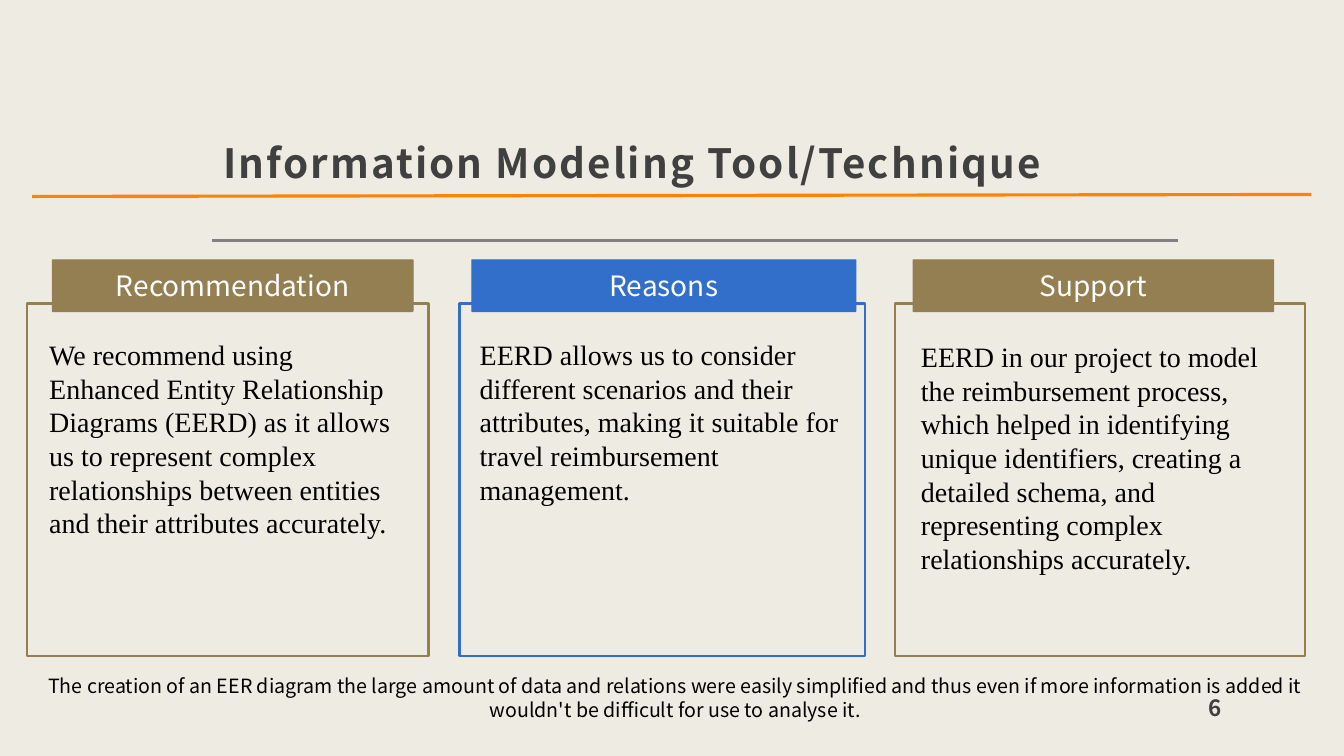
from lxml import etree
from pptx import Presentation
from pptx import util as u
from pptx.dml.color import RGBColor
from pptx.enum import shapes, text
from pptx.oxml.ns import qn

SANS, SERIF = "Noto Sans CJK JP", "Times New Roman"
INK, BLACK, WHITE = "404040", "000000", "FFFFFF"
TAN, BLUE, ORANGE, GREY = "947F53", "326FCA", "FF8200", "808080"
LEFT, CENTER = text.PP_ALIGN.LEFT, text.PP_ALIGN.CENTER
TOP, MIDDLE, BOTTOM = (text.MSO_ANCHOR.TOP, text.MSO_ANCHOR.MIDDLE,
                       text.MSO_ANCHOR.BOTTOM)
USUAL_INSETS = (0.25, 0.13, 0.25, 0.13)
THEME_INSETS = (0.3, 0.3, 0.3, 0.25)

CARDS = [
    dict(box=(0.69, 7.65, 10.11, 8.89), color=TAN, heading="Recommendation",
         tab=(0.63, 9.09), body=(0.3, 0.73, 9.6, 5.38),
         wording="We recommend using Enhanced Entity Relationship Diagrams (EERD) "
                 "as it allows us to represent complex relationships between "
                 "entities and their attributes accurately."),
    dict(box=(11.58, 7.65, 10.21, 8.89), color=BLUE, heading="Reasons",
         tab=(0.31, 9.68), body=(0.26, 0.73, 9.68, 4.52),
         wording="EERD allows us to consider different scenarios and their "
                 "attributes, making it suitable for travel reimbursement "
                 "management."),
    dict(box=(22.56, 7.65, 10.34, 8.89), color=TAN, heading="Support",
         tab=(0.45, 9.09), body=(0.4, 0.78, 9.55, 6.25),
         wording="EERD in our project to model the reimbursement process, which "
                 "helped in identifying unique identifiers, creating a detailed "
                 "schema, and representing complex relationships accurately."),
]
FOOTNOTE = ("The creation of an EER diagram the large amount of data and relations "
            "were easily simplified and thus even if more information is added it "
            "wouldn't be difficult for use to analyse it.")


def rgb(value):
    """Turn a hex string into a colour."""
    return RGBColor.from_string(value)


def lengths(values):
    """Turn centimetre numbers into lengths."""
    return [u.Cm(value) for value in values]


def write(shape, wording, size, font, color, bold=False, align=LEFT, anchor=TOP,
          insets=USUAL_INSETS):
    """Fill a shape with one formatted paragraph and return the paragraph."""
    frame = shape.text_frame
    frame.word_wrap = True
    frame.vertical_anchor = anchor
    (frame.margin_left, frame.margin_top,
     frame.margin_right, frame.margin_bottom) = lengths(insets)
    para = frame.paragraphs[0]
    para.text = wording
    para.alignment = align
    letters = para.runs[0].font
    letters.size, letters.name, letters.bold = u.Pt(size), font, bold
    letters.color.rgb = rgb(color)
    return para


def add_text(page, box, *details, **options):
    """Add a text box with one paragraph."""
    return write(page.shapes.add_textbox(*lengths(box)), *details, **options)


def add_panel(page, kind, box, color, width, filled):
    """Add an outlined shape, either solid or empty."""
    panel = page.shapes.add_shape(kind, *lengths(box))
    panel.shadow.inherit = False
    if filled:
        panel.fill.solid()
        panel.fill.fore_color.rgb = rgb(color)
    else:
        panel.fill.background()
    panel.line.color.rgb = rgb(color)
    panel.line.width = u.Pt(width)
    return panel


def flatten_fold(label):
    """Shrink the folded corner until it hardly shows."""
    geometry = label._element.spPr.find(qn("a:prstGeom"))
    guides = geometry.find(qn("a:avLst"))
    if guides is None:
        guides = etree.SubElement(geometry, qn("a:avLst"))
    etree.SubElement(guides, qn("a:gd"), name="adj", fmla="val 1000")


def add_rule(page, ends, color, width):
    """Add a straight line without a shadow."""
    rule = page.shapes.add_connector(shapes.MSO_CONNECTOR.STRAIGHT, *lengths(ends))
    rule.line.color.rgb = rgb(color)
    rule.line.width = u.Pt(width)
    etree.SubElement(rule._element.spPr, qn("a:effectLst"))


def add_header(page, box):
    """Place the title with its orange and grey rules."""
    left, top, width, height = box
    bottom = top + height
    add_rule(page, (left, bottom + 1.1, left + width, bottom + 1.1), GREY, 2)
    para = add_text(page, box, "Information Modeling Tool/Technique", 28.8, SANS, INK,
                    bold=True, anchor=BOTTOM, insets=THEME_INSETS)
    para.line_spacing = 1.3
    para.runs[0]._r.get_or_add_rPr().set("spc", "150")
    add_rule(page, (0.81, bottom, 33.05, bottom - 0.05), ORANGE, 2.25)


def add_card(page, box, color, heading, tab, body, wording):
    """Place a heading tab, a frame and the body text of one column."""
    left, top, width, height = box
    tab_shift, tab_width = tab
    label = add_panel(page, shapes.MSO_SHAPE.FOLDED_CORNER,
                      (left + tab_shift, top - 1.1, tab_width, 1.3), color, 0.75, True)
    flatten_fold(label)
    write(label, heading, 20, SANS, WHITE, align=CENTER, anchor=MIDDLE)
    add_panel(page, shapes.MSO_SHAPE.RECTANGLE, box, color, 1.5, False)
    shift, drop, body_width, body_height = body
    add_text(page, (left + shift, top + drop, body_width, body_height),
             wording, 20, SERIF, BLACK)


def add_footer(page, box):
    """Place the slide number and the closing note."""
    left, top, width, height = box
    add_text(page, (left + 29.9, top + 0.49, 3.3, 1.27), "6", 16, SANS, INK,
             bold=True, anchor=BOTTOM, insets=THEME_INSETS)
    add_text(page, box, FOOTNOTE, 14, SANS, BLACK, align=CENTER, insets=(0.33,) * 4)


def main():
    """Build the slide and save the deck."""
    deck = Presentation()
    deck.slide_width, deck.slide_height = u.Cm(33.87), u.Cm(19.05)
    page = deck.slides.add_slide(deck.slide_layouts[6])
    page.background.fill.solid()
    page.background.fill.fore_color.rgb = rgb("EEEBE2")
    add_header(page, (5.33, 1.22, 24.36, 3.73))
    for card in CARDS:
        add_card(page, **card)
    add_footer(page, (0.25, 16.66, 33.55, 1.88))
    deck.save("out.pptx")


if __name__ == "__main__":
    main()
